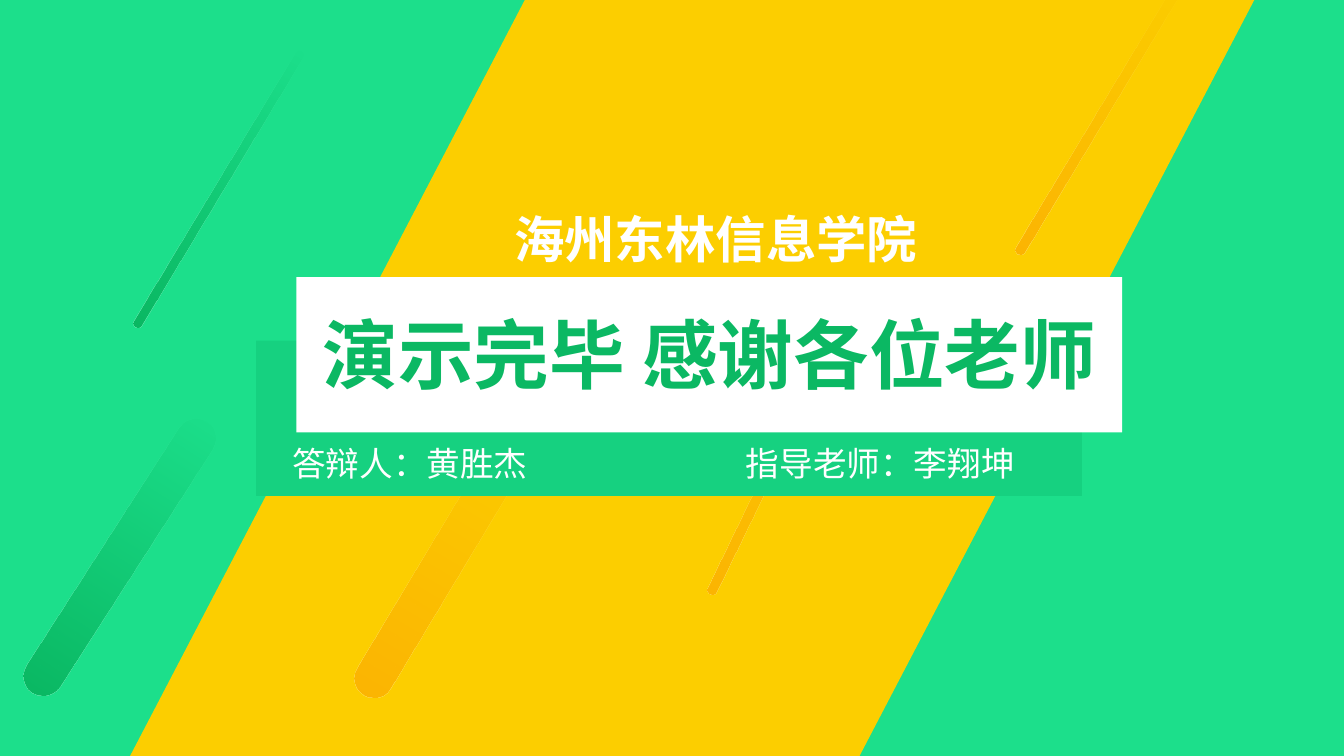
import pptx
import pptx.dml.color
import pptx.enum.shapes
import pptx.enum.text
import pptx.oxml
import pptx.oxml.ns
import pptx.util
from pptx.util import Inches

GREEN, BAND_GREEN, DARK_GREEN = "1CDF8B", "16D180", "0BB863"
YELLOW, ORANGE, WHITE = "FCCE00", "FCB504", "FFFFFF"
SHAPES = pptx.enum.shapes.MSO_SHAPE


def color(hex_string):
    return pptx.dml.color.RGBColor.from_string(hex_string)


def add_shape(slide, kind, left, top, width, height, fill=None):
    shape = slide.shapes.add_shape(
        kind, Inches(left), Inches(top), Inches(width), Inches(height))
    shape.shadow.inherit = False
    shape.line.fill.background()
    if fill:
        shape.fill.solid()
        shape.fill.fore_color.rgb = color(fill)
    return shape


def add_streak(slide, left, top, width, height, rotation, hex_string):
    """A round-ended bar that fades to transparent along its length."""
    streak = add_shape(slide, SHAPES.ROUNDED_RECTANGLE, left, top, width, height)
    streak.adjustments[0] = 0.5
    streak.rotation = rotation
    streak.fill.gradient()
    streak.fill.gradient_angle = 270
    for stop in streak.fill.gradient_stops:
        stop.color.rgb = color(hex_string)
    last_color = streak.fill._fill._gradFill.findall(
        ".//" + pptx.oxml.ns.qn("a:srgbClr"))[-1]
    last_color.append(pptx.oxml.parse_xml(
        f'<a:alpha {pptx.oxml.ns.nsdecls("a")} val="0"/>'))


def write_text(shape, text, size, hex_string, bold=False, tab=None):
    frame = shape.text_frame
    frame.word_wrap = True
    frame.auto_size = pptx.enum.text.MSO_AUTO_SIZE.NONE
    frame.vertical_anchor = pptx.enum.text.MSO_ANCHOR.TOP
    frame.text = text
    paragraph = frame.paragraphs[0]
    paragraph.alignment = pptx.enum.text.PP_ALIGN.LEFT
    if tab:
        paragraph._p.get_or_add_pPr().append(pptx.oxml.parse_xml(
            f'<a:tabLst {pptx.oxml.ns.nsdecls("a")}>'
            f'<a:tab pos="{Inches(tab)}" algn="l"/></a:tabLst>'))
    paragraph.font.name = "Arial"
    paragraph.font.size = pptx.util.Pt(size)
    paragraph.font.bold = bold
    paragraph.font.color.rgb = color(hex_string)


def add_text(slide, left, top, width, height, text, size, hex_string, **style):
    box = slide.shapes.add_textbox(
        Inches(left), Inches(top), Inches(width), Inches(height))
    write_text(box, text, size, hex_string, **style)


def add_backdrop(slide, left, top, width, height):
    # Green ground with a slanted yellow band
    add_shape(slide, SHAPES.RECTANGLE, left, top, width, height, GREEN)
    band = add_shape(slide, SHAPES.PARALLELOGRAM,
                     left + 1.29, top, 11.15, height, YELLOW)
    band.adjustments[0] = 0.522

    # Fading streaks: left, top, width, rotation, colour
    for x, y, thickness, rotation, hex_string in (
            (4.23, 3.93, 0.39, 210.8, ORANGE),
            (7.69, 2.86, 0.1, 205.7, ORANGE),
            (10.87, -0.45, 0.1, 210.9, ORANGE),
            (0.99, 3.93, 0.39, 212.5, DARK_GREEN),
            (2.12, 0.28, 0.09, 210.9, DARK_GREEN)):
        add_streak(slide, left + x, top + y, thickness, 3.19, rotation, hex_string)


def add_closing_panel(slide, left, top, width, height):
    # Offset green panel behind the white one
    add_shape(slide, SHAPES.RECTANGLE,
              left - 0.4, top + 0.63, width, height, BAND_GREEN)
    add_shape(slide, SHAPES.RECTANGLE, left, top, width, height, WHITE)

    # School above, names below
    add_text(slide, left + 2.06, top - 0.73, 4.24, 0.71,
             "海州东林信息学院", 36, WHITE, bold=True)
    add_text(slide, left - 0.14, top + 1.59, 7.93, 0.5,
             "答辩人：黄胜杰\t指导老师：李翔坤", 24, WHITE, tab=4.5)

    # Title, raised above the white panel
    title = slide.shapes.title
    title.left, title.top = Inches(left + 0.16), Inches(top + 0.25)
    title.width, title.height = Inches(7.99), Inches(1.01)
    write_text(title, "演示完毕 感谢各位老师", 54, DARK_GREEN, bold=True)
    slide.shapes._spTree.append(title._element)


def main():
    presentation = pptx.Presentation()
    presentation.slide_width = Inches(13.33)
    presentation.slide_height = Inches(7.5)
    slide = presentation.slides.add_slide(presentation.slide_layouts[5])
    add_backdrop(slide, 0, 0, 13.33, 7.5)
    add_closing_panel(slide, 2.94, 2.75, 8.19, 1.54)
    presentation.save("out.pptx")


if __name__ == "__main__":
    main()
